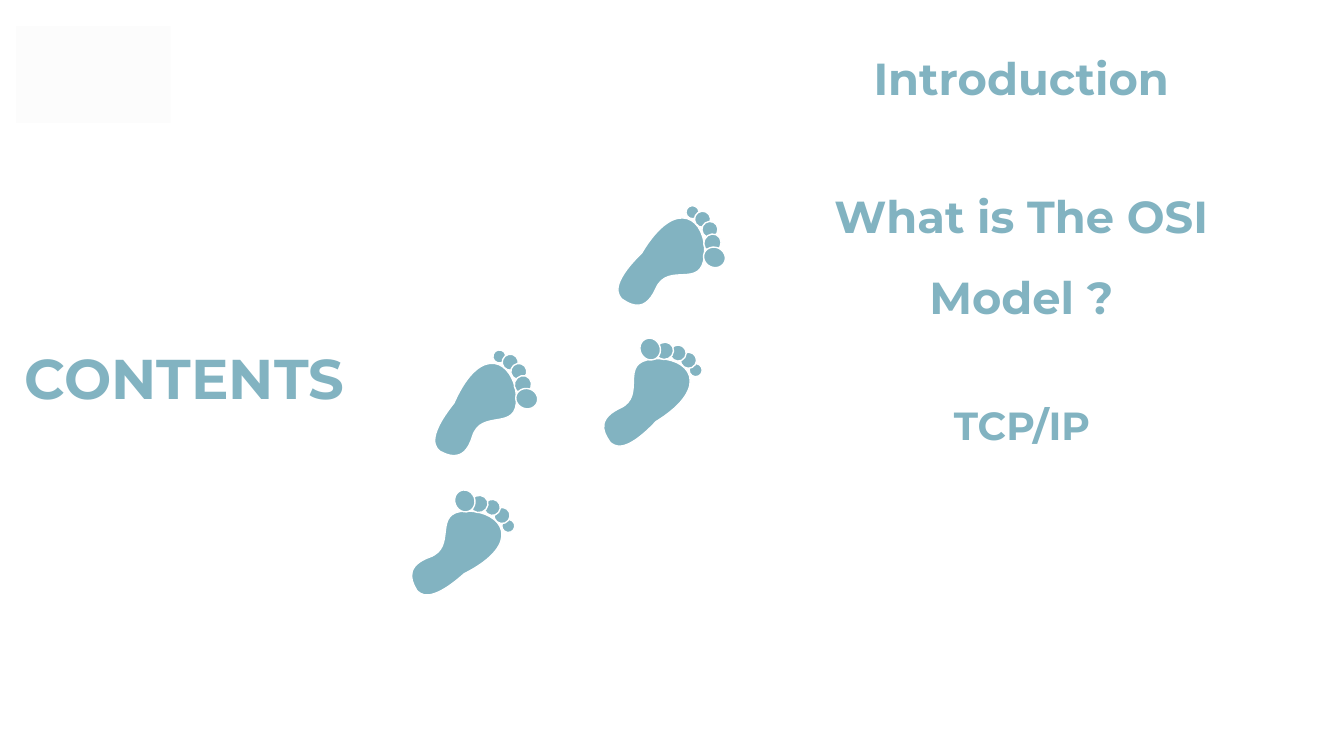
from lxml.etree import SubElement
from pptx import Presentation
from pptx.dml.color import RGBColor
from pptx.enum.shapes import MSO_SHAPE as Shape
from pptx.enum.text import MSO_ANCHOR as Anchor, MSO_AUTO_SIZE as AutoSize, PP_ALIGN as Align
from pptx.oxml.ns import qn
from pptx.util import Inches, Pt

WIDTH, HEIGHT = 13.33, 7.5
TITLE_ONLY = 5
COLOURS = {"teal": "82B3C1", "edge": "FFFFFF", "panel": "FCFCFC"}

# Upright left foot, in inches from its centre: start, then Bézier triples.
SOLE_WIDTH, SOLE_HEIGHT = 0.68, 1
SOLE_START = (-0.26, 0)
SOLE_CURVES = [
    [(-0.2, -0.67), (0.18, -0.58), (0.31, -0.25)],
    [(0.44, 0.08), (0.01, -0.04), (0.02, 0.26)],
    [(0.03, 0.57), (-0.2, 0.5), (-0.24, 0.5)],
    [(-0.28, 0.48), (-0.42, 0.44), SOLE_START],
]
# Toes: centre x, centre y, width, height.
TOES = [
    (0.02, -0.58, 0.13, 0.13),
    (0.14, -0.56, 0.16, 0.16),
    (0.25, -0.5, 0.16, 0.16),
    (0.33, -0.39, 0.17, 0.18),
    (0.41, -0.27, 0.22, 0.2),
]
# Footprints: centre in percent of the slide, turn in degrees, side (-1 mirrors).
FOOTPRINTS = [
    (49.51, 34.93, 25.6, 1),
    (33.83, 72.67, 68.4, -1),
    (35.63, 54.4, 18.6, 1),
    (47.94, 52.67, 63.4, -1),
]
# Topics: text, area in percent, size, line spacing, anchor, autosize.
TOPICS = [
    ("What is The OSI Model ?", (54.69, 22.93, 42.61, 18.4), 32, 1.5,
     Anchor.MIDDLE, AutoSize.NONE),
    ("TCP/IP", (61.37, 52.4, 29.33, 7.6), 28, 1,
     Anchor.TOP, AutoSize.SHAPE_TO_FIT_TEXT),
    ("Introduction", (60.17, 6, 31.66, 8.53), 32, 1,
     Anchor.TOP, AutoSize.SHAPE_TO_FIT_TEXT),
]


def colour(name):
    return RGBColor.from_string(COLOURS[name])


def across(percent):
    return Inches(WIDTH * percent / 100)


def down(percent):
    return Inches(HEIGHT * percent / 100)


def area(left, top, width, height):
    return across(left), down(top), across(width), down(height)


def set_all(target, values):
    for name, value in values.items():
        setattr(target, name, value)


def write(box, text, size, align, spacing, anchor, autosize):
    frame = box.text_frame
    set_all(frame, {"word_wrap": True, "vertical_anchor": anchor, "auto_size": autosize})
    para = frame.paragraphs[0]
    set_all(para, {"alignment": align, "line_spacing": spacing})
    span = para.add_run()
    span.text = text
    set_all(span.font, {"name": "Montserrat", "size": Pt(size), "bold": True})
    span.font.color.rgb = colour("teal")


def paint(shape, fill, edge=None):
    shape.shadow.inherit = False
    shape.fill.solid()
    shape.fill.fore_color.rgb = colour(fill)
    if edge:
        shape.line.color.rgb = colour(edge)
        shape.line.width = Pt(1)
    else:
        shape.line.fill.background()


def draw_curves(freeform, side):
    """Replace the straight outline of a freeform by the curves of the sole."""
    outline = freeform.element.find(".//" + qn("a:path"))
    for child in list(outline):
        outline.remove(child)
    steps = [("a:moveTo", [SOLE_START])]
    steps += [("a:cubicBezTo", curve) for curve in SOLE_CURVES]
    for tag, points in steps + [("a:close", [])]:
        step = SubElement(outline, qn(tag))
        for x, y in points:
            SubElement(step, qn("a:pt"),
                       x=str(Inches(SOLE_WIDTH / 2 + side * x)),
                       y=str(Inches(SOLE_HEIGHT / 2 + y)))


def add_sole(foot, centre_x, centre_y, side):
    half_width, half_height = Inches(SOLE_WIDTH / 2), Inches(SOLE_HEIGHT / 2)
    left, right = centre_x - half_width, centre_x + half_width
    top, bottom = centre_y - half_height, centre_y + half_height
    builder = foot.build_freeform(left, top)
    builder.add_line_segments([(right, top), (right, bottom), (left, bottom)], close=True)
    sole = builder.convert_to_shape()
    draw_curves(sole, side)
    return sole


def rotated(x, y, turn):
    """Turn a point clockwise about the centre of the foot."""
    point = complex(x, y) * (1j ** (turn / 90))
    return point.real, point.imag


def add_footprint(slide, left, top, turn, side):
    foot = slide.shapes.add_group_shape().shapes
    centre_x, centre_y = across(left), down(top)
    parts = [add_sole(foot, centre_x, centre_y, side)]
    for x, y, width, height in TOES:
        x, y = rotated(side * x, y, turn)
        parts.append(foot.add_shape(
            Shape.OVAL, centre_x + Inches(x - width / 2), centre_y + Inches(y - height / 2),
            Inches(width), Inches(height)))
    for part in parts:
        part.rotation = turn
        paint(part, "teal", "edge")


def add_title(slide, text):
    title = slide.shapes.title
    title.left, title.top, title.width, title.height = area(1.05, 43.07, 28.43, 14.67)
    write(title, text, 40, Align.LEFT, 0.9, Anchor.MIDDLE, AutoSize.NONE)


def add_topic(slide, text, place, size, spacing, anchor, autosize):
    box = slide.shapes.add_textbox(*area(*place))
    write(box, text, size, Align.CENTER, spacing, anchor, autosize)


def main():
    deck = Presentation()
    deck.slide_width, deck.slide_height = Inches(WIDTH), Inches(HEIGHT)
    slide = deck.slides.add_slide(deck.slide_layouts[TITLE_ONLY])

    panel = slide.shapes.add_shape(Shape.RECTANGLE, *area(1.2, 3.47, 11.48, 12.8))
    paint(panel, "panel")
    add_title(slide, "CONTENTS")
    for footprint in FOOTPRINTS:
        add_footprint(slide, *footprint)
    for topic in TOPICS:
        add_topic(slide, *topic)

    deck.save("out.pptx")


if __name__ == "__main__":
    main()
